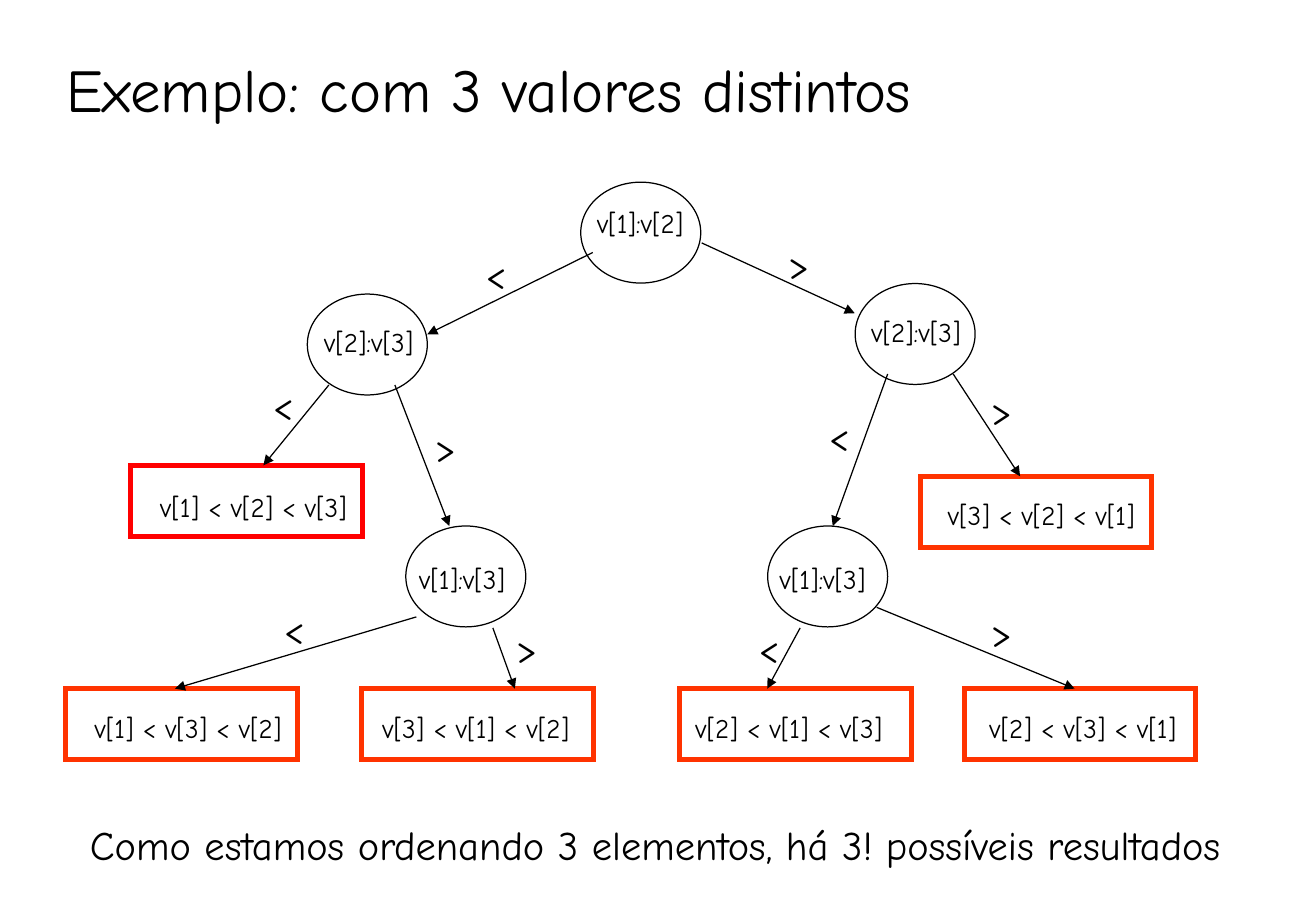
from lxml.etree import SubElement
from pptx import Presentation
from pptx.dml.color import RGBColor
from pptx.enum.shapes import MSO_CONNECTOR, MSO_SHAPE
from pptx.enum.text import MSO_ANCHOR, MSO_AUTO_SIZE, PP_ALIGN
from pptx.oxml.ns import qn
from pptx.util import Cm, Pt

# Content: lengths are centimetres
TITLE = "Exemplo: com 3 valores distintos"
CONCLUSION = "Como estamos ordenando 3 elementos, há 3! possíveis resultados"

# Comparisons: text, ellipse corner, text corner
COMPARISONS = [
    ("v[1]:v[2]", (12.15, 3.81), (12.24, 4.2)),
    ("v[2]:v[3]", (6.43, 6.15), (6.53, 6.68)),
    ("v[2]:v[3]", (17.89, 5.93), (17.98, 6.48)),
    ("v[1]:v[3]", (8.49, 11), (8.52, 11.63)),
    ("v[1]:v[3]", (16.06, 11), (16.06, 11.63)),
]
# Results: text, box corner, text corner, outline colour name
RESULTS = [
    ("v[1] < v[2] < v[3]", (2.74, 9.73), (3.1, 10.13), "first_result"),
    ("v[3] < v[2] < v[1]", (19.25, 9.96), (19.58, 10.31), "result"),
    ("v[1] < v[3] < v[2]", (1.37, 14.4), (1.73, 14.76), "result"),
    ("v[3] < v[1] < v[2]", (7.57, 14.4), (7.75, 14.76), "result"),
    ("v[2] < v[1] < v[3]", (14.22, 14.4), (14.3, 14.76), "result"),
    ("v[2] < v[3] < v[1]", (20.17, 14.4), (20.45, 14.76), "result"),
]
# Branches: sign, arrow start, arrow end, sign corner
BRANCHES = [
    ("<", (12.4, 5.28), (8.94, 6.99), (9.91, 5.08)),
    (">", (14.68, 5.08), (17.88, 6.55), (16.23, 4.88)),
    ("<", (6.88, 8.05), (5.51, 9.73), (5.46, 7.82)),
    (">", (8.26, 8.05), (9.4, 11), (8.84, 8.69)),
    ("<", (18.57, 7.82), (17.42, 11), (17.09, 8.46)),
    (">", (19.94, 7.82), (21.34, 9.96), (20.47, 7.92)),
    ("<", (8.71, 12.9), (3.66, 14.4), (5.69, 12.5)),
    (">", (10.31, 13.13), (10.77, 14.4), (10.54, 12.9)),
    ("<", (16.74, 13.13), (16.05, 14.4), (15.62, 12.9)),
    (">", (18.34, 12.7), (22.48, 14.4), (20.47, 12.57)),
]

THEME = {
    "font": "Comic Neue",
    "colours": {
        "ink": RGBColor(0x00, 0x00, 0x00),
        "result": RGBColor(0xFF, 0x33, 0x00),
        "first_result": RGBColor(0xFF, 0x00, 0x00),
    },
    "sizes": {"title": Pt(36), "sign": Pt(24), "label": Pt(16)},
    "lines": {"thin": Pt(0.75), "thick": Pt(3)},
}
SIZES = {
    "slide": (27.53, 19.05),
    "title": (23.39, 1.7),
    "ellipse": (2.51, 2.11),
    "comparison": (2.5, 0.94),
    "box": (4.85, 1.49),
    "result": (4.5, 0.94),
    "sign": (0.97, 1.27),
    "conclusion": (24.4, 1.27),
}


def set_format(target, values):
    for name, value in values.items():
        setattr(target, name, value)


def lengths(*values):
    return [Cm(value) for value in values]


def add_text(slide, text, corner, kind, size, wrap=False,
             anchor=MSO_ANCHOR.TOP, spacing=1.0):
    box = slide.shapes.add_textbox(*lengths(*corner, *SIZES[kind]))
    set_format(box.text_frame, {
        "word_wrap": wrap,
        "vertical_anchor": anchor,
        "auto_size": MSO_AUTO_SIZE.NONE,
    })
    paragraph = box.text_frame.paragraphs[0]
    set_format(paragraph, {"alignment": PP_ALIGN.LEFT, "line_spacing": spacing})
    run = paragraph.add_run()
    run.text = text
    set_format(run.font, {"name": THEME["font"], "size": THEME["sizes"][size]})
    run.font.color.rgb = THEME["colours"]["ink"]


def set_line(shape, colour, width):
    """Format the line and return its XML element."""
    shape.line.color.rgb = THEME["colours"][colour]
    shape.line.width = THEME["lines"][width]
    return shape._element.spPr.find(qn("a:ln"))


def add_outline(slide, preset, corner, kind, colour, width):
    shape = slide.shapes.add_shape(preset, *lengths(*corner, *SIZES[kind]))
    shape.shadow.inherit = False
    shape.fill.background()
    line = set_line(shape, colour, width)
    SubElement(line, qn("a:miter"), lim="800000")


def add_arrow(slide, start, end):
    arrow = slide.shapes.add_connector(
        MSO_CONNECTOR.STRAIGHT, *lengths(*start, *end))
    line = set_line(arrow, "ink", "thin")
    SubElement(line, qn("a:tailEnd"), type="triangle")
    SubElement(arrow._element.spPr, qn("a:effectLst"))


def main():
    presentation = Presentation()
    width, height = lengths(*SIZES["slide"])
    set_format(presentation, {"slide_width": width, "slide_height": height})
    slide = presentation.slides.add_slide(presentation.slide_layouts[6])

    # Title
    add_text(slide, TITLE, (1.14, 1.05), "title", "title",
             wrap=True, anchor=MSO_ANCHOR.BOTTOM, spacing=0.9)

    # Decision tree: nodes, leaves, then branches
    for text, corner, text_corner in COMPARISONS:
        add_outline(slide, MSO_SHAPE.OVAL, corner, "ellipse", "ink", "thin")
        add_text(slide, text, text_corner, "comparison", "label")
    for text, corner, text_corner, colour in RESULTS:
        add_outline(slide, MSO_SHAPE.RECTANGLE, corner, "box", colour, "thick")
        add_text(slide, text, text_corner, "result", "label")
    for sign, start, end, sign_corner in BRANCHES:
        add_arrow(slide, start, end)
        add_text(slide, sign, sign_corner, "sign", "sign")

    # Conclusion
    add_text(slide, CONCLUSION, (1.63, 17.02), "conclusion", "sign")

    presentation.save("out.pptx")


if __name__ == "__main__":
    main()
